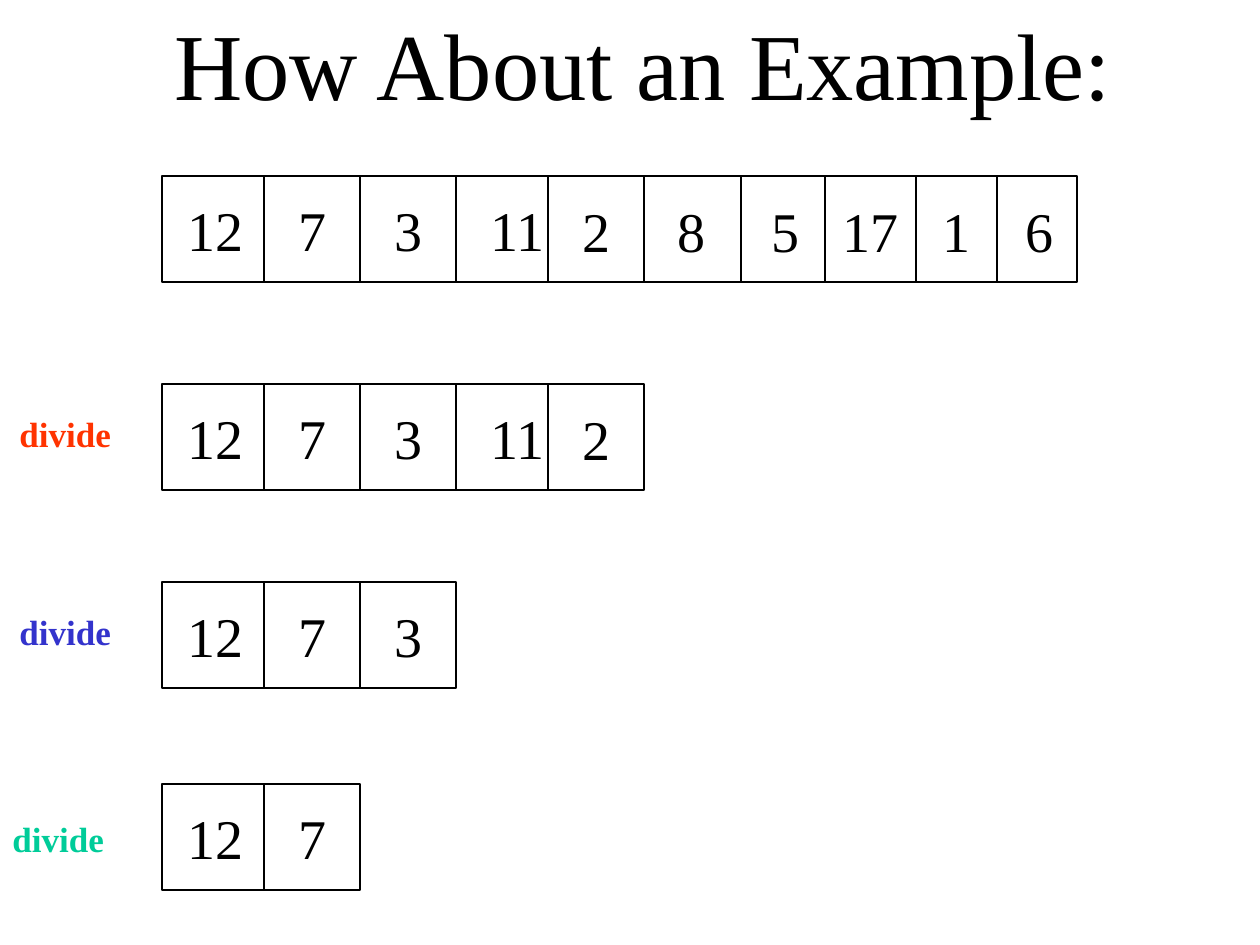
"""Build the slide that shows a list being divided again and again."""
from pptx import Presentation
from pptx.dml.color import RGBColor as Rgb
from pptx.enum.shapes import MSO_CONNECTOR as Conn, MSO_SHAPE as Shape
from pptx.enum.text import MSO_AUTO_SIZE as Fit
from pptx.util import Emu, Pt
from lxml.etree import SubElement as Sub
from pptx.oxml.ns import qn

SCALE = 914400 // 126
FONT = "Times New Roman"
COLORS = {"ink": "000000", "red": "FF3300", "blue": "3333CC", "green": "00CC99"}
VALUES = [12, 7, 3, 11, 2, 8, 5, 17, 1, 6]
EDGES = [162, 264, 360, 456, 548, 644, 741, 825, 916, 997, 1077]
LEFTS = [175, 286, 382, 478, 570, 665, 759, 830, 930, 1013]
HIGH = 106
ROWS = [(176, 10), (384, 5), (582, 3), (784, 2)]
LABELS = [(7, 406, "red"), (7, 604, "blue"), (0, 811, "green")]


def px(*nums):
    return [Emu(num * SCALE) for num in nums]


def ink(line):
    line.color.rgb = Rgb.from_string(COLORS["ink"])
    line.width = Pt(0.75)


def add_text(slide, box, text, size, color="ink", bold=False):
    frame = slide.shapes.add_textbox(*px(*box)).text_frame
    frame.text = text
    frame.word_wrap = False
    frame.auto_size = Fit.SHAPE_TO_FIT_TEXT
    font = frame.paragraphs[0].runs[0].font
    font.name, font.size, font.bold = FONT, Pt(size), bold
    font.color.rgb = Rgb.from_string(COLORS[color])


def add_frame(slide, top, wide):
    rect = slide.shapes.add_shape(Shape.RECTANGLE, *px(EDGES[0], top, wide, HIGH))
    rect.shadow.inherit = False
    rect.fill.background()
    ink(rect.line)


def add_rule(slide, left, top):
    rule = slide.shapes.add_connector(Conn.STRAIGHT, *px(left, top, left, top + HIGH))
    ink(rule.line)
    Sub(rule.element.spPr, qn("a:effectLst"))


def add_row(slide, top, count):
    add_frame(slide, top, EDGES[count] - EDGES[0])
    for edge in EDGES[1:-1][:count]:
        add_rule(slide, edge, top)
    for spot, (left, value) in enumerate(zip(LEFTS[:count], VALUES)):
        wide = 81 if value > 9 else 53
        drop = 13 if spot < 4 else 14
        add_text(slide, (left, top + drop, wide, 81), str(value), 32)


def main():
    deck = Presentation()
    deck.slide_width, deck.slide_height = px(1260, 945)
    slide = deck.slides.add_slide(deck.slide_layouts[6])
    add_text(slide, (162, 0, 968, 126), "How About an Example:", 54)
    for top, count in ROWS:
        add_row(slide, top, count)
    for left, top, color in LABELS:
        add_text(slide, (left, top, 120, 55), "divide", 20, color, True)
    deck.save("out.pptx")


if __name__ == "__main__":
    main()
